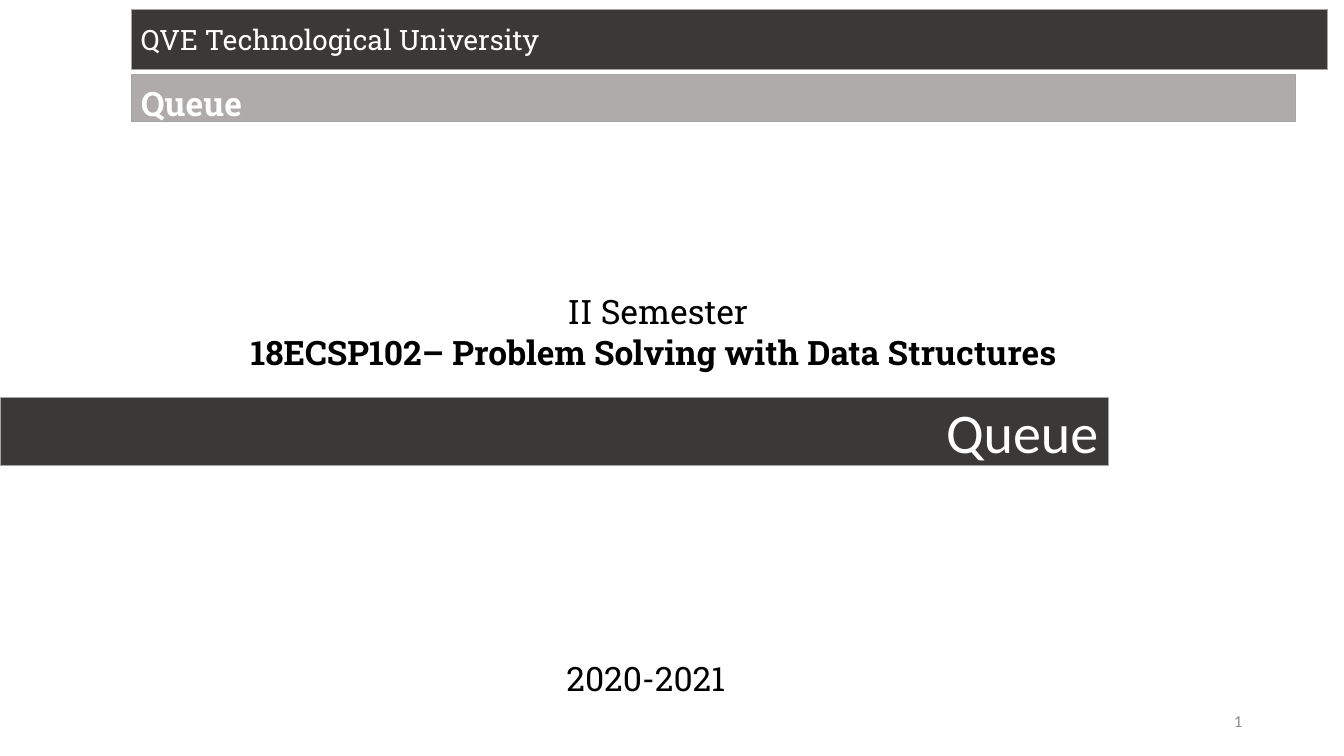
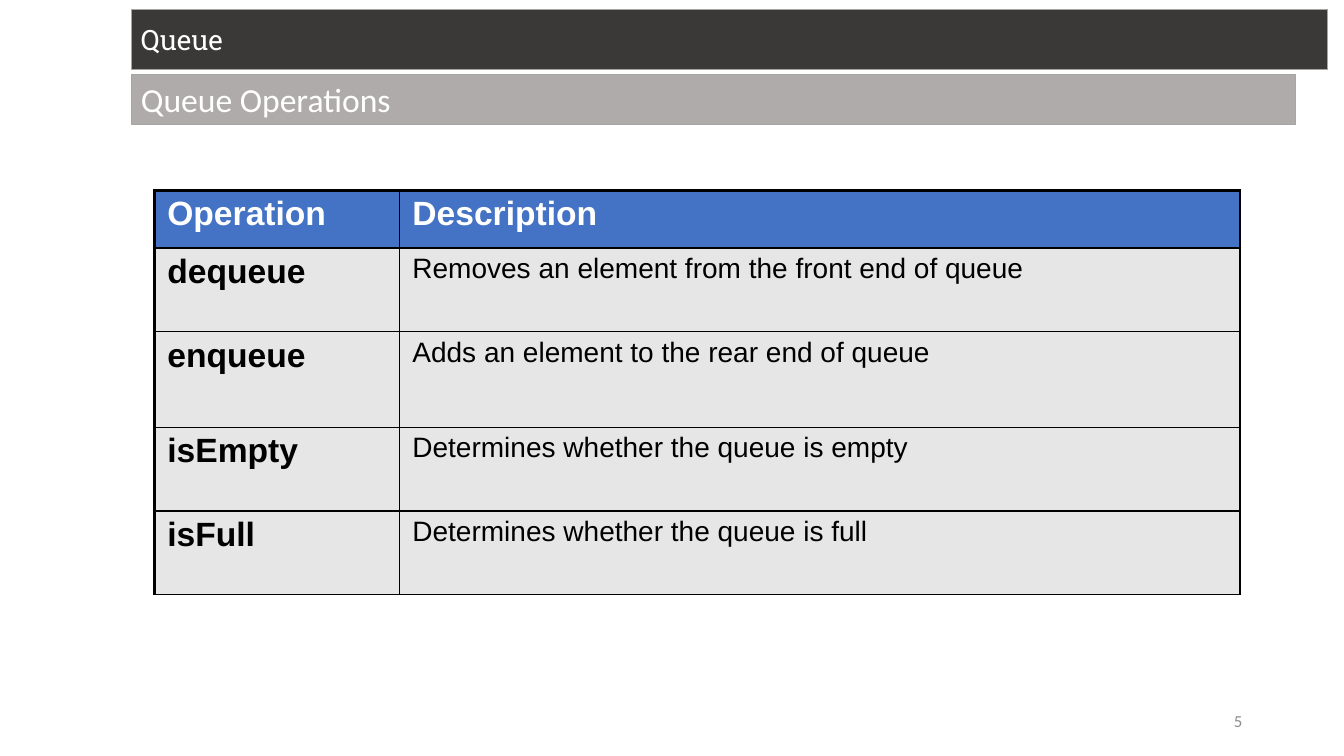
from lxml import etree
from pptx import Presentation
from pptx.dml.color import RGBColor
from pptx.enum import shapes, text
from pptx.oxml import ns
from pptx.util import Inches, Pt

COLORS = {
    "dark": "3B3838", "grey": "AFABAB", "outline": "A5A5A5",
    "white": "FFFFFF", "black": "000000", "number": "8C8C8C",
    "header": "4472C4", "body": "E7E6E6",
}
SLAB, SANS, TABLE_FONT = "Roboto Slab", "Calibri", "Arial"
LEFT, MIDDLE, RIGHT = text.PP_ALIGN.LEFT, text.PP_ALIGN.CENTER, text.PP_ALIGN.RIGHT
TOP_ANCHOR, MIDDLE_ANCHOR = text.MSO_ANCHOR.TOP, text.MSO_ANCHOR.MIDDLE

BAND_LEFT = 1.3
THIN, THICK = 1, 2.25
COLUMN_WIDTHS = [2.43, 8.34]
ROW_HEIGHTS = [0.57, 0.83, 0.95, 0.83, 0.83]
OPERATIONS = [
    ("Operation", "Description"),
    ("dequeue", "Removes an element from the front end of queue"),
    ("enqueue", "Adds an element to the rear end of queue"),
    ("isEmpty", "Determines whether the queue is empty"),
    ("isFull", "Determines whether the queue is full"),
]


def color(name):
    return RGBColor.from_string(COLORS[name])


def style(paragraph, font, size, ink, bold=False, align=LEFT):
    paragraph.alignment = align
    for run in paragraph.runs:
        run.font.name = font
        run.font.size = Pt(size)
        run.font.bold = bold
        run.font.color.rgb = color(ink)


def add_band(slide, box, fill, label="", font=SLAB, size=20, align=LEFT):
    band = slide.shapes.add_shape(shapes.MSO_SHAPE.RECTANGLE, *map(Inches, box))
    band.shadow.inherit = False
    band.fill.solid()
    band.fill.fore_color.rgb = color(fill)
    band.line.color.rgb = color("outline")
    band.line.width = Pt(0.5)
    if label:
        band.text_frame.text = label
        band.text_frame.vertical_anchor = MIDDLE_ANCHOR
        style(band.text_frame.paragraphs[0], font, size, "white", align=align)


def add_text(slide, box, lines, font=SLAB, size=24, ink="black",
             align=LEFT, anchor=TOP_ANCHOR, wrap=True):
    """Add a text box; lines holds (wording, bold) pairs, one per paragraph."""
    frame = slide.shapes.add_textbox(*map(Inches, box)).text_frame
    frame.word_wrap = wrap
    frame.vertical_anchor = anchor
    frame.text = "\n".join(wording for wording, _ in lines)
    for paragraph, (_, bold) in zip(frame.paragraphs, lines):
        style(paragraph, font, size, ink, bold, align)


def add_topic_slide(deck, title, number, subtitle="", subtitle_height=0.49):
    """Add a slide with the two heading bands and the slide number."""
    slide = deck.slides.add_slide(deck.slide_layouts[6])
    add_band(slide, (BAND_LEFT, 0.09, 11.87, 0.6), "dark", title)
    add_band(slide, (BAND_LEFT, 0.74, 11.55, subtitle_height), "grey",
             subtitle, SANS, 24)
    add_text(slide, (9.42, 6.95, 3, 0.4), [(str(number), False)], SANS, 12,
             "number", RIGHT, MIDDLE_ANCHOR)
    return slide


def set_borders(cell, widths):
    """Draw the cell's borders; widths are in points: left, right, top, bottom."""
    properties = cell._tc.get_or_add_tcPr()
    for index, (side, width) in enumerate(zip("LRTB", widths)):
        border = etree.Element(ns.qn(f"a:ln{side}"), w=str(Pt(width)))
        fill = etree.SubElement(border, ns.qn("a:solidFill"))
        etree.SubElement(fill, ns.qn("a:srgbClr"), val=COLORS["black"])
        properties.insert(index, border)


def fill_cell(cell, wording, is_header, is_first):
    cell.text = wording
    cell.margin_left = cell.margin_right = Inches(0.13)
    cell.margin_top = cell.margin_bottom = Inches(0.05)
    cell.fill.solid()
    cell.fill.fore_color.rgb = color("header" if is_header else "body")
    emphasized = is_header or is_first
    style(cell.text_frame.paragraphs[0], TABLE_FONT, 24 if emphasized else 20,
          "white" if is_header else "black", emphasized)
    set_borders(cell, (THICK if is_first else THIN, THIN if is_first else THICK,
                       THICK if is_header else THIN, THIN))


def add_operations_table(slide):
    table = slide.shapes.add_table(
        len(OPERATIONS), len(COLUMN_WIDTHS), Inches(1.53), Inches(1.89),
        Inches(sum(COLUMN_WIDTHS)), Inches(sum(ROW_HEIGHTS))).table
    for column, width in zip(table.columns, COLUMN_WIDTHS):
        column.width = Inches(width)
    for row, height in zip(table.rows, ROW_HEIGHTS):
        row.height = Inches(height)
    for r, operation in enumerate(OPERATIONS):
        for c, wording in enumerate(operation):
            fill_cell(table.cell(r, c), wording, r == 0, c == 0)


def build_cover(deck):
    slide = add_topic_slide(deck, "QVE Technological University", 1,
                            subtitle_height=0.46)
    add_text(slide, (BAND_LEFT, 0.77, 12.03, 0.5), [("Queue", True)], ink="white")
    add_text(slide, (-0.14, 2.84, 13.33, 0.91),
             [("II Semester", False),
              ("18ECSP102– Problem Solving with Data Structures ", True)],
             align=MIDDLE)
    add_band(slide, (0, 3.94, 10.99, 0.68), "dark", "Queue", SANS, 40, RIGHT)
    add_text(slide, (5.52, 6.48, 2.01, 0.5), [("2020-2021", False)], wrap=False)


def build_operations(deck):
    slide = add_topic_slide(deck, "Queue", 5, "Queue Operations")
    add_operations_table(slide)


def main():
    deck = Presentation()
    deck.slide_width, deck.slide_height = Inches(13.33), Inches(7.5)
    build_cover(deck)
    build_operations(deck)
    deck.save("out.pptx")


if __name__ == "__main__":
    main()
